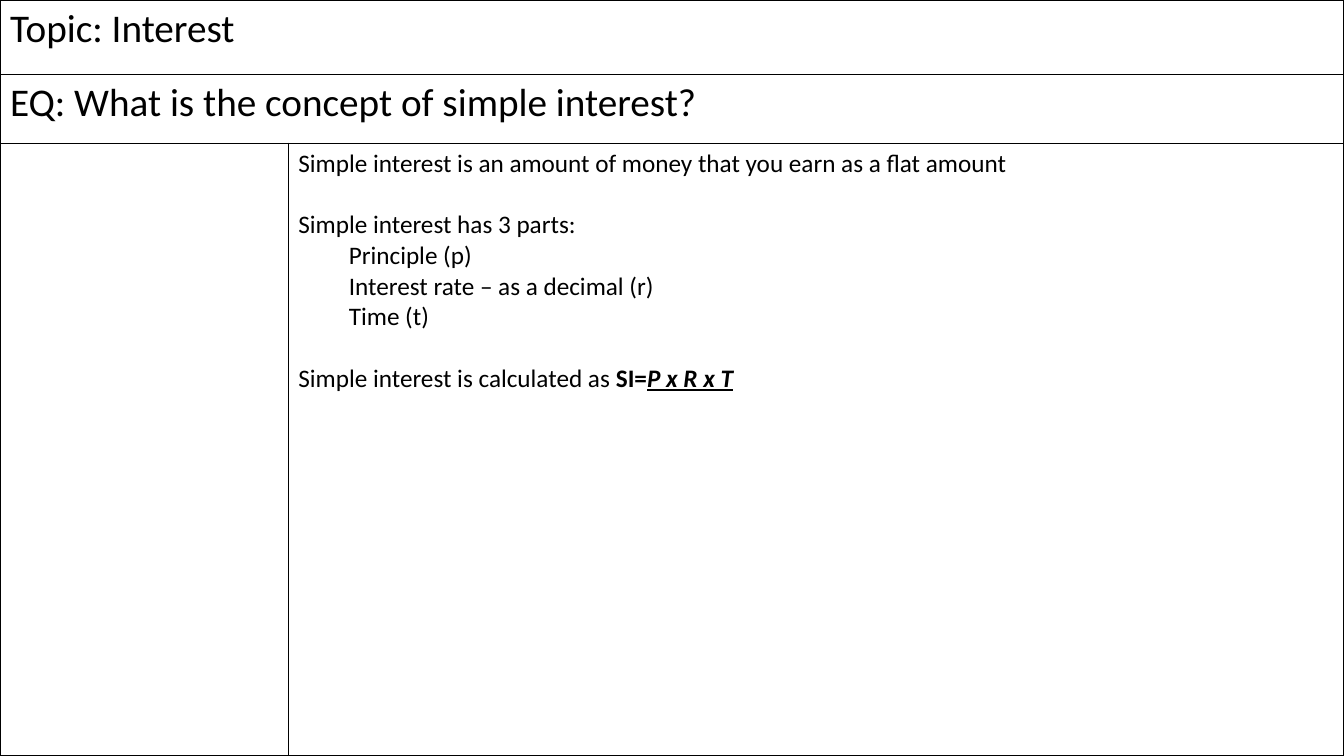
from lxml.etree import SubElement
from pptx import Presentation
from pptx.dml.color import RGBColor
from pptx.oxml.ns import qn
from pptx.util import Inches, Pt

BLACK = RGBColor(0x00, 0x00, 0x00)
WHITE = RGBColor(0xFF, 0xFF, 0xFF)
LINE_GAP = 22  # points, one line of body text

HEADINGS = ["Topic: Interest", "EQ: What is the concept of simple interest?"]

# Each note: indent in inches, space before in points, spans of (text, format)
NOTES = [
    (0, 0, [("Simple interest is an amount of money that you earn as a flat amount", {})]),
    (0, LINE_GAP, [("Simple interest has 3 parts:", {})]),
    (0.5, 0, [("Principle (p)", {})]),
    (0.5, 0, [("Interest rate – as a decimal (r)", {})]),
    (0.5, 0, [("Time (t)", {})]),
    (0, LINE_GAP, [
        ("Simple interest is calculated as ", {}),
        ("SI=", {"bold": True}),
        ("P x R x T", {"bold": True, "italic": True, "underline": True}),
    ]),
]


class NotesPage:
    """Style and current slide of the notes sheet."""

    font_name = "Calibri"
    border_width = Pt(1)

    def __init__(self, deck):
        self.slide = deck.slides.add_slide(deck.slide_layouts[6])

    def table(self, column_widths, row_heights):
        frame = self.slide.shapes.add_table(
            len(row_heights), len(column_widths), 0, 0,
            Inches(sum(column_widths)), Inches(sum(row_heights)))
        table = frame.table
        table.first_row = table.horz_banding = False
        for column, width in zip(table.columns, column_widths):
            column.width = Inches(width)
        for row, height in zip(table.rows, row_heights):
            row.height = Inches(height)
        for cell in table.iter_cells():
            self.borders(cell)
            cell.fill.solid()
            cell.fill.fore_color.rgb = WHITE
        return table

    def borders(self, cell):
        properties = cell._tc.get_or_add_tcPr()
        for side in ("a:lnL", "a:lnR", "a:lnT", "a:lnB"):
            line = SubElement(properties, qn(side), w=str(self.border_width))
            fill = SubElement(line, qn("a:solidFill"))
            SubElement(fill, qn("a:srgbClr"), val=str(BLACK))

    def text(self, cell, notes, size):
        box = cell.text_frame
        for index, (indent, gap, spans) in enumerate(notes):
            para = box.add_paragraph() if index else box.paragraphs[0]
            if indent:
                para.level = 1
                para._p.get_or_add_pPr().set("marL", str(Inches(indent)))
            if gap:
                para.space_before = Pt(gap)
            for words, extra in spans:
                span = para.add_run()
                span.text = words
                span.font.color.rgb = BLACK
                style = {"name": self.font_name, "size": Pt(size), **extra}
                for key, value in style.items():
                    setattr(span.font, key, value)


def main():
    deck = Presentation()
    deck.slide_width, deck.slide_height = Inches(13.33), Inches(7.5)
    page = NotesPage(deck)

    # Sheet grid
    table = page.table([2.86, 10.47], [0.74, 0.68, 6.08])

    # Full-width headings
    for row, heading in enumerate(HEADINGS):
        table.cell(row, 0).merge(table.cell(row, 1))
        page.text(table.cell(row, 0), [(0, 0, [(heading, {})])], 28)

    # Notes column
    page.text(table.cell(2, 1), NOTES, 18)

    deck.save("out.pptx")


if __name__ == "__main__":
    main()
